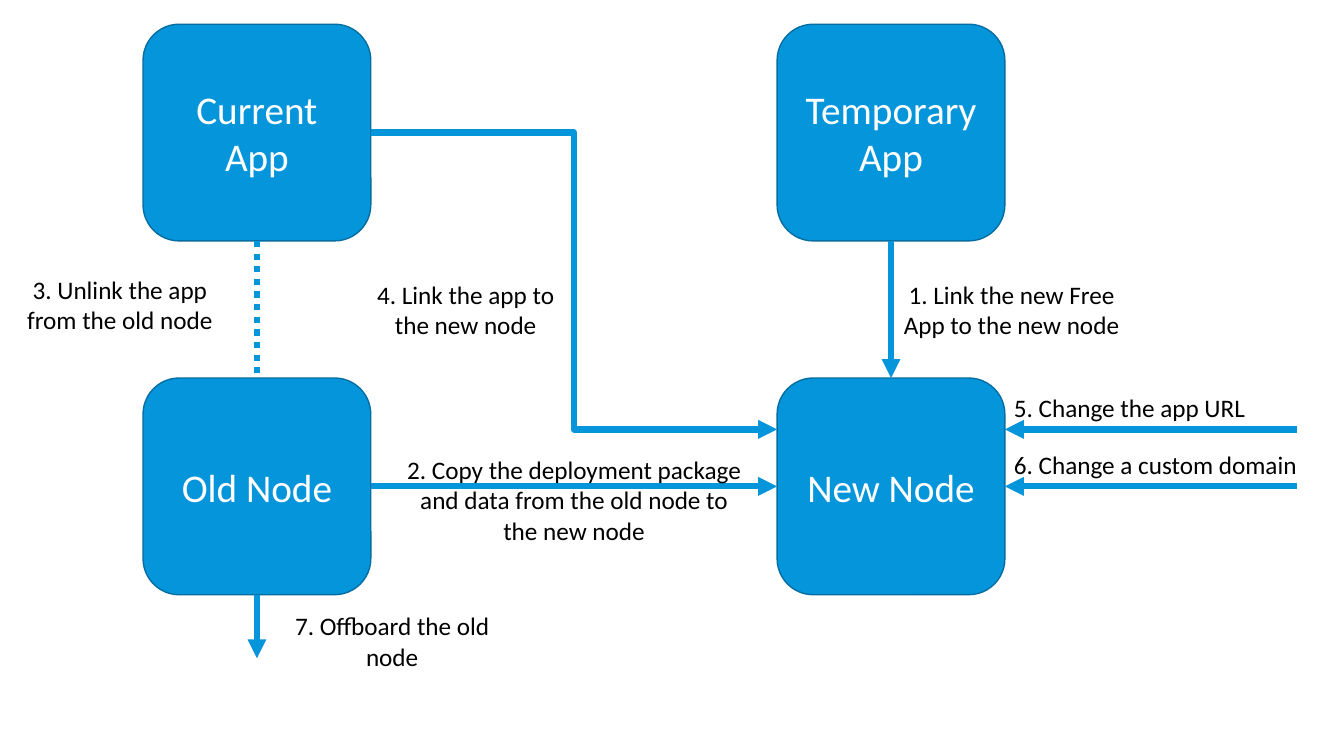
from pptx import Presentation
from pptx.dml.color import RGBColor
from pptx.enum import dml, shapes, text
from pptx.oxml import ns, xmlchemy
from pptx.util import Pt

COLORS = {"blue": "0595DB", "outline": "046EA2", "white": "FFFFFF", "black": "000000"}
FONT = "Calibri"
STRAIGHT = shapes.MSO_CONNECTOR.STRAIGHT
ELBOW = shapes.MSO_CONNECTOR.ELBOW
TOP, LEFT, BOTTOM, RIGHT = range(4)

BOX_WIDTH, BOX_HEIGHT = 162.7, 154.8
OLD_X, NEW_X = 102.2, 555.1
APP_Y, NODE_Y = 17.3, 270
OLD_CENTER = OLD_X + BOX_WIDTH / 2
OLD_RIGHT, NEW_RIGHT = OLD_X + BOX_WIDTH, NEW_X + BOX_WIDTH
NODE_BOTTOM = NODE_Y + BOX_HEIGHT
APP_MIDDLE, NODE_MIDDLE = APP_Y + BOX_HEIGHT / 2, NODE_Y + BOX_HEIGHT / 2
UPPER_ENTRY = 306.7
OUTSIDE_X = 926.6

STEPS = [
    ("1. Link the new Free App to the new node", 636.5, 195.8, 172.1, 51, True),
    ("2. Copy the deployment package and data from the old node to the new node",
     279.4, 321.1, 261.4, 72.7, True),
    ("3. Unlink the app from the old node", 8.6, 192.2, 154.1, 51, True),
    ("4. Link the app to the new node", 255.6, 195.8, 154.1, 51, True),
    ("5. Change the app URL", 717.1, 276.5, 209.5, 29, False),
    ("6. Change a custom domain", 717.1, 317.5, 218.9, 29, False),
    ("7. Offboard the old node", 183.6, 432.7, 193, 51, True),
]


def color(name):
    return RGBColor.from_string(COLORS[name])


def write(shape, wording, size, color_name, centered):
    frame = shape.text_frame
    frame.word_wrap = True
    frame.text = wording
    paragraph = frame.paragraphs[0]
    paragraph.alignment = text.PP_ALIGN.CENTER if centered else text.PP_ALIGN.LEFT
    font = paragraph.runs[0].font
    font.name, font.size = FONT, Pt(size)
    font.color.rgb = color(color_name)


def add_box(slide, wording, left, top):
    shape = slide.shapes.add_shape(
        shapes.MSO_SHAPE.ROUNDED_RECTANGLE, Pt(left), Pt(top), Pt(BOX_WIDTH), Pt(BOX_HEIGHT))
    shape.shadow.inherit = False
    shape.fill.solid()
    shape.fill.fore_color.rgb = color("blue")
    shape.line.color.rgb = color("outline")
    shape.line.width = Pt(1)
    shape.text_frame.vertical_anchor = text.MSO_ANCHOR.MIDDLE
    write(shape, wording, 28, "white", True)
    return shape


def add_label(slide, wording, left, top, width, height, centered):
    shape = slide.shapes.add_textbox(Pt(left), Pt(top), Pt(width), Pt(height))
    write(shape, wording, 18, "black", centered)


def add_line(slide, start, end, kind=STRAIGHT, arrow=True):
    connector = slide.shapes.add_connector(kind, *map(Pt, start + end))
    connector.line.color.rgb = color("blue")
    connector.line.width = Pt(4.5)
    if arrow:
        tail = xmlchemy.OxmlElement("a:tailEnd")
        tail.set("type", "triangle")
        connector.line._get_or_add_ln().append(tail)
    else:
        connector.line.dash_style = dml.MSO_LINE.ROUND_DOT
    connector._element.spPr.append(xmlchemy.OxmlElement("a:effectLst"))
    return connector


def join(slide, first, first_side, second, second_side, arrow=True):
    connector = add_line(slide, (0, 0), (0, 0), arrow=arrow)
    connector.begin_connect(first, first_side)
    connector.end_connect(second, second_side)


def main():
    presentation = Presentation()
    presentation.slide_width, presentation.slide_height = Pt(960), Pt(540)
    slide = presentation.slides.add_slide(presentation.slide_layouts[6])

    current_app = add_box(slide, "Current App", OLD_X, APP_Y)
    temporary_app = add_box(slide, "Temporary App", NEW_X, APP_Y)
    old_node = add_box(slide, "Old Node", OLD_X, NODE_Y)
    new_node = add_box(slide, "New Node", NEW_X, NODE_Y)

    join(slide, temporary_app, BOTTOM, new_node, TOP)
    join(slide, old_node, RIGHT, new_node, LEFT)
    join(slide, current_app, BOTTOM, old_node, TOP, arrow=False)
    link = add_line(slide, (OLD_RIGHT, APP_MIDDLE), (NEW_X, UPPER_ENTRY), ELBOW)
    link.begin_connect(current_app, RIGHT)
    for y in (UPPER_ENTRY, NODE_MIDDLE):
        add_line(slide, (OUTSIDE_X, y), (NEW_RIGHT, y))
    add_line(slide, (OLD_CENTER, NODE_BOTTOM), (OLD_CENTER, 470.2))

    for step in STEPS:
        add_label(slide, *step)

    presentation.save("out.pptx")


if __name__ == "__main__":
    main()
